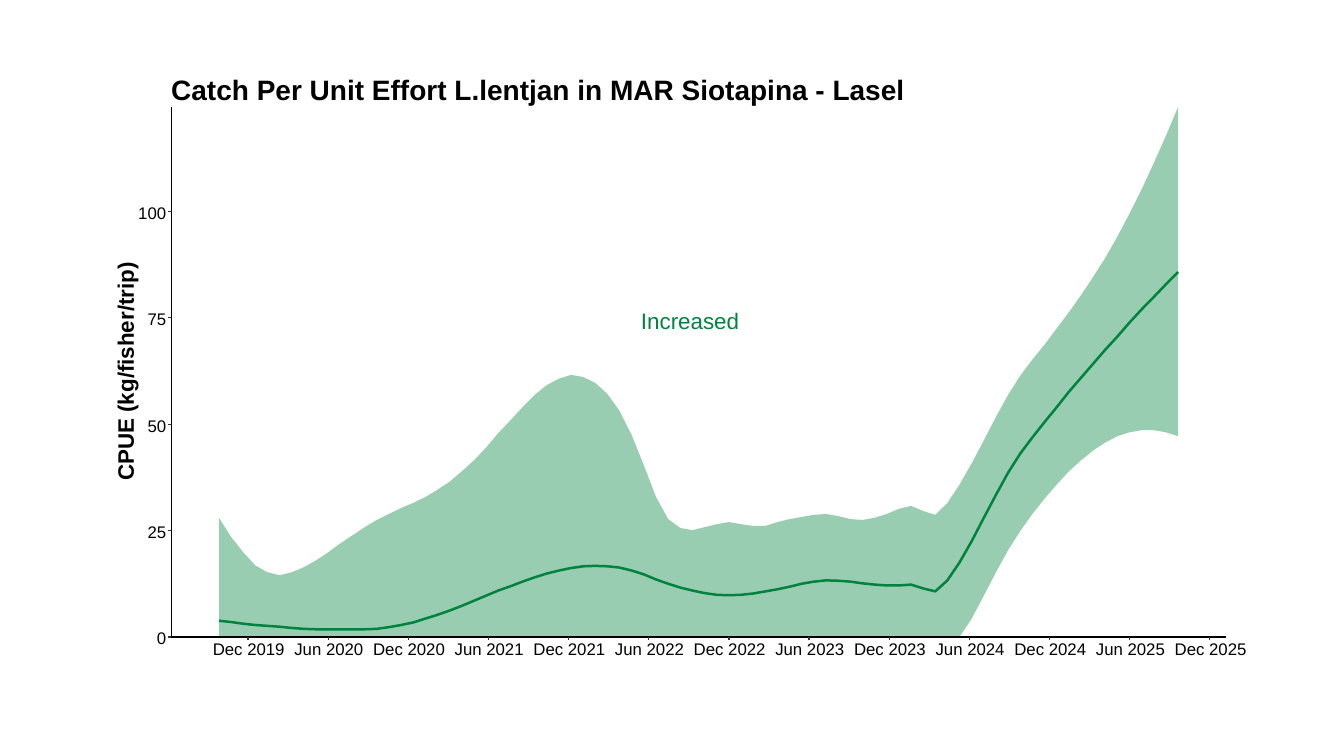
from dataclasses import dataclass

from lxml import etree
from pptx import Presentation
from pptx.dml.color import RGBColor
from pptx.enum import shapes, text
from pptx.oxml import ns
from pptx.util import Cm, Pt

GREEN = RGBColor(0x00, 0x83, 0x3E)
BLACK = RGBColor(0x00, 0x00, 0x00)
TICK_GREY = RGBColor(0x33, 0x33, 0x33)
FONT = "Arial"

# Plot geometry in centimetres
AXIS_LEFT, AXIS_RIGHT = 4.32, 30.89
AXIS_TOP, AXIS_BOTTOM = 2.69, 16.05
CM_PER_KG = 0.1072
FIRST_X, LAST_X = 5.52, 29.69
FIRST_MONTH_X, HALF_YEAR = 6.25, 2.02
TICK_LENGTH = 0.08

# Catch per unit effort, kg/fisher/trip, at equal time steps
UPPER = [
    28.0, 23.5, 19.9, 16.8, 15.2, 14.5, 15.2, 16.4, 18.0, 19.9,
    22.0, 23.9, 25.8, 27.5, 28.9, 30.3, 31.5, 32.9, 34.6, 36.5,
    38.9, 41.5, 44.5, 47.9, 50.9, 54.0, 56.9, 59.2, 60.7, 61.6,
    61.1, 59.7, 57.1, 53.1, 47.4, 40.3, 32.9, 27.7, 25.6, 25.1,
    25.8, 26.5, 27.0, 26.5, 26.1, 26.1, 27.0, 27.7, 28.2, 28.7,
    28.9, 28.4, 27.7, 27.5, 28.0, 28.9, 30.1, 30.8, 29.6, 28.7,
    31.5, 35.8, 40.8, 46.2, 51.7, 56.9, 61.4, 65.2, 68.7, 72.5,
    76.3, 80.3, 84.6, 89.1, 94.1, 99.5, 105.2, 111.4, 117.8, 124.6,
]
MEAN = [
    3.8, 3.5, 3.1, 2.8, 2.6, 2.4, 2.1, 1.9, 1.8, 1.8,
    1.8, 1.8, 1.8, 1.9, 2.3, 2.8, 3.4, 4.3, 5.2, 6.2,
    7.3, 8.5, 9.7, 10.9, 11.9, 13.0, 14.0, 14.9, 15.6, 16.2,
    16.6, 16.7, 16.6, 16.3, 15.6, 14.7, 13.5, 12.5, 11.6, 10.9,
    10.3, 9.9, 9.8, 9.9, 10.2, 10.7, 11.2, 11.8, 12.5, 13.0,
    13.3, 13.2, 13.0, 12.6, 12.3, 12.1, 12.1, 12.3, 11.4, 10.7,
    13.3, 17.5, 22.5, 28.0, 33.4, 38.6, 43.1, 46.9, 50.5, 54.0,
    57.6, 60.9, 64.2, 67.5, 70.6, 73.9, 77.0, 79.9, 82.9, 85.8,
]
LOWER = [0.0] * 62 + [
    4.3, 9.7, 15.2, 20.4, 24.9, 28.9, 32.5, 35.8, 38.9,
    41.5, 43.8, 45.7, 47.2, 48.1, 48.6, 48.6, 48.1, 47.2,
]


@dataclass
class Label:
    """Text in a box whose lengths are in centimetres."""
    wording: str
    left: float
    top: float
    width: float
    height: float = 0.76
    size: int = 12
    color: RGBColor = BLACK
    bold: bool = False
    align: text.PP_ALIGN = text.PP_ALIGN.CENTER
    rotation: int = 0


@dataclass
class Rule:
    """A straight line whose lengths are in centimetres."""
    x1: float
    y1: float
    x2: float
    y2: float
    color: RGBColor = TICK_GREY


def value_y(value: float) -> float:
    return AXIS_BOTTOM - value * CM_PER_KG


def curve(values: list[float]) -> list[tuple[int, int]]:
    step = (LAST_X - FIRST_X) / (len(values) - 1)
    return [(Cm(FIRST_X + i * step), Cm(value_y(value)))
            for i, value in enumerate(values)]


def draw_outline(slide, points: list[tuple[int, int]], close: bool):
    builder = slide.shapes.build_freeform(*points[0], scale=1.0)
    builder.add_line_segments(points[1:], close=close)
    shape = builder.convert_to_shape()
    shape.shadow.inherit = False
    return shape


def draw_band(slide) -> None:
    band = draw_outline(slide, curve(UPPER) + curve(LOWER)[::-1], close=True)
    band.line.fill.background()
    band.fill.solid()
    band.fill.fore_color.rgb = GREEN
    color = band.fill._xPr.find(f".//{ns.qn('a:srgbClr')}")
    etree.SubElement(color, ns.qn("a:alpha"), val="40000")


def draw_mean(slide) -> None:
    mean = draw_outline(slide, curve(MEAN), close=False)
    mean.fill.background()
    mean.line.color.rgb = GREEN
    mean.line.width = Pt(1.78)


def draw_rule(slide, rule: Rule) -> None:
    connector = slide.shapes.add_connector(
        shapes.MSO_CONNECTOR.STRAIGHT,
        Cm(rule.x1), Cm(rule.y1), Cm(rule.x2), Cm(rule.y2))
    connector.line.color.rgb = rule.color
    connector.line.width = Pt(0.89)
    etree.SubElement(connector._element.spPr, ns.qn("a:effectLst"))


def fill_label(shape, label: Label) -> None:
    shape.left, shape.top = Cm(label.left), Cm(label.top)
    shape.width, shape.height = Cm(label.width), Cm(label.height)
    shape.rotation = label.rotation
    frame = shape.text_frame
    frame.text = label.wording
    frame.word_wrap = False
    frame.auto_size = text.MSO_AUTO_SIZE.NONE
    frame.vertical_anchor = text.MSO_ANCHOR.MIDDLE
    paragraph = frame.paragraphs[0]
    paragraph.alignment = label.align
    font = paragraph.runs[0].font
    font.name, font.size, font.bold = FONT, Pt(label.size), label.bold
    font.color.rgb = label.color


def axis_parts() -> tuple[list[Rule], list[Label]]:
    rules = [
        Rule(AXIS_LEFT, AXIS_BOTTOM, AXIS_LEFT, AXIS_TOP, BLACK),
        Rule(AXIS_LEFT, AXIS_BOTTOM, AXIS_RIGHT, AXIS_BOTTOM, BLACK),
    ]
    labels = []
    for value in range(0, 101, 25):
        y = value_y(value)
        rules.append(Rule(AXIS_LEFT - TICK_LENGTH, y, AXIS_LEFT, y))
        labels.append(Label(str(value), 3.22, y - 0.35, 1.22,
                            align=text.PP_ALIGN.RIGHT))
    for i in range(13):
        x = FIRST_MONTH_X + i * HALF_YEAR
        rules.append(Rule(x, AXIS_BOTTOM + TICK_LENGTH, x, AXIS_BOTTOM))
        month = "Jun" if i % 2 else "Dec"
        labels.append(Label(f"{month} {2019 + (i + 1) // 2}",
                            x - 1.15, 15.98, 2.34))
    return rules, labels


def main() -> None:
    presentation = Presentation()
    presentation.slide_width, presentation.slide_height = Cm(33.87), Cm(19.05)
    slide = presentation.slides.add_slide(presentation.slide_layouts[5])
    fill_label(slide.shapes.title, Label(
        "Catch Per Unit Effort L.lentjan in MAR Siotapina - Lasel",
        4.06, 1.7, 19.13, 1.12, 20, bold=True, align=text.PP_ALIGN.LEFT))

    draw_band(slide)
    draw_mean(slide)
    rules, labels = axis_parts()
    for rule in rules:
        draw_rule(slide, rule)
    labels += [
        Label("Increased", 15.88, 7.62, 3.02, 0.94, 16, GREEN),
        Label("CPUE (kg/fisher/trip)", 0.1, 8.89, 6.1, 0.94, 16,
              bold=True, rotation=270),
    ]
    for label in labels:
        fill_label(slide.shapes.add_textbox(0, 0, 0, 0), label)
    presentation.save("out.pptx")


if __name__ == "__main__":
    main()
